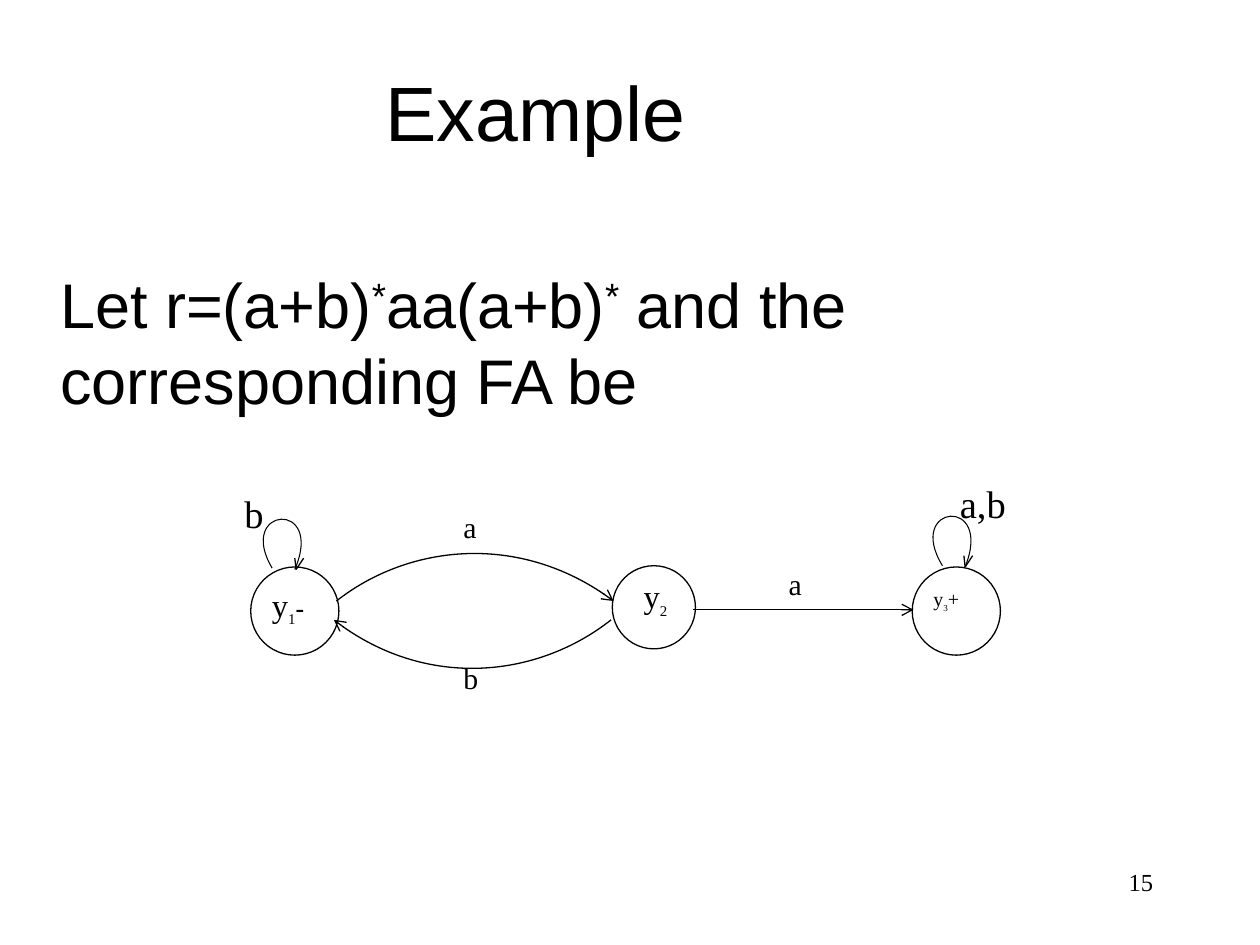
"""Build a slide showing the finite automaton for r=(a+b)*aa(a+b)*."""
from dataclasses import dataclass

from lxml.etree import SubElement
from pptx import Presentation
from pptx.dml.color import RGBColor
from pptx.enum.shapes import MSO_CONNECTOR, MSO_SHAPE
from pptx.enum.text import MSO_ANCHOR, PP_ALIGN
from pptx.oxml.ns import qn
from pptx.util import Inches, Pt


@dataclass(frozen=True)
class Theme:
    ink: RGBColor = RGBColor(0, 0, 0)
    paper: RGBColor = RGBColor(255, 255, 255)
    sans: str = "Arial"
    serif: str = "Times New Roman"
    title: float = 44
    body: float = 36
    number: float = 14
    loop: float = 22
    edge: float = 17
    state: float = 18.6
    state_sub: float = 14.7
    small: float = 11.4
    small_sub: float = 9
    line: float = 0.75
    loop_line: float = 0.6


theme = Theme()


def write(sp, box, runs, font, align=PP_ALIGN.LEFT, anchor=MSO_ANCHOR.TOP):
    sp.left, sp.top, sp.width, sp.height = (Inches(v) for v in box)
    tf = sp.text_frame
    tf.word_wrap = True
    tf.vertical_anchor = anchor
    p = tf.paragraphs[0]
    p.alignment = align
    for text, size, base in runs:
        r = p.add_run()
        r.text = text
        r.font.name = font
        r.font.size = Pt(size)
        r.font.color.rgb = theme.ink
        if base:
            r.font._element.set("baseline", str(base * 1000))
    return p


def stroke(sp, width, arrow=False):
    sp.line.color.rgb = theme.ink
    sp.line.width = Pt(width)
    if arrow:
        SubElement(sp.line._get_or_add_ln(), qn("a:tailEnd"), type="arrow")


prs = Presentation()
prs.slide_width, prs.slide_height = Inches(10), Inches(7.5)
s = prs.slides.add_slide(prs.slide_layouts[5])
s.background.fill.solid()
s.background.fill.fore_color.rgb = theme.paper

write(s.shapes.title, (0, 0.25, 8.5, 1.25), [("Example", theme.title, 0)],
      theme.sans, PP_ALIGN.CENTER, MSO_ANCHOR.MIDDLE)

statement = [
    ("Let r=(a+b)", theme.body, 0),
    ("*", theme.body, 30),
    ("aa(a+b)", theme.body, 0),
    ("*", theme.body, 30),
    (" and the corresponding FA be", theme.body, 0),
]
p = write(s.shapes.add_textbox(0, 0, 0, 0), (0, 2.06, 8.94, 4.56), statement, theme.sans)
p._p.get_or_add_pPr().set("marL", str(Inches(0.38)))

for x, y, size in [(1.99, 4.5, 0.7), (4.86, 4.49, 0.66), (7.24, 4.5, 0.7)]:
    sp = s.shapes.add_shape(MSO_SHAPE.OVAL, Inches(x), Inches(y), Inches(size), Inches(size))
    sp.shadow.inherit = False
    sp.fill.solid()
    sp.fill.fore_color.rgb = theme.paper
    stroke(sp, theme.line)

curves = [
    ([(2.16, 4.51), (1.87, 4.02), (2.58, 3.96), (2.34, 4.52)], theme.loop_line, False),
    ([(7.48, 4.49), (7.18, 4), (7.89, 3.93), (7.66, 4.5)], theme.loop_line, False),
    ([(2.67, 4.77), (3.23, 4.33), (4.14, 4.22), (4.87, 4.77)], theme.line, True),
    ([(4.85, 4.92), (4.28, 5.37), (3.37, 5.48), (2.65, 4.92)], theme.line, True),
]
for points, width, arrow in curves:
    start, *rest = [(Inches(x), Inches(y)) for x, y in points]
    builder = s.shapes.build_freeform(*start)
    builder.add_line_segments(rest, close=False)
    sp = builder.convert_to_shape()
    segments = list(sp._element.iter(qn("a:lnTo")))
    cubic = SubElement(segments[0].getparent(), qn("a:cubicBezTo"))
    for segment in segments:
        cubic.append(segment[0])
        segment.getparent().remove(segment)
    sp.shadow.inherit = False
    sp.fill.background()
    stroke(sp, width, arrow)

lines = [((5.5, 4.84), (7.25, 4.84), True)]
for x, y in [(2.35, 4.52), (7.66, 4.5)]:
    lines += [((x, y), (x + 0.06, y - 0.09), False), ((x, y), (x - 0.01, y - 0.09), False)]
for start, end, arrow in lines:
    line = s.shapes.add_connector(MSO_CONNECTOR.STRAIGHT, *(Inches(v) for v in start + end))
    stroke(line, theme.line, arrow)
    SubElement(line._element.spPr, qn("a:effectLst"))

labels = [
    ((1.84, 3.84, 0.98, 0.67), [("b", theme.loop, 0)]),
    ((7.52, 3.76, 0.98, 0.67), [("a,b", theme.loop, 0)]),
    ((3.58, 3.99, 0.41, 0.4), [("a", theme.edge, 0)]),
    ((6.16, 4.44, 0.41, 0.4), [("a", theme.edge, 0)]),
    ((3.58, 5.19, 0.41, 0.4), [("b", theme.edge, 0)]),
    ((2.06, 4.59, 0.8, 0.46),
     [("y", theme.state, 0), ("1", theme.state_sub, -30), ("-", theme.state_sub, 0)]),
    ((5.01, 4.52, 0.8, 0.45), [("y", theme.state, 0), ("2", theme.state_sub, -30)]),
    ((7.31, 4.61, 0.77, 0.34),
     [("y", theme.small, 0), ("3", theme.small_sub, -30), ("+", theme.small, 0)]),
]
for box, runs in labels:
    p = write(s.shapes.add_textbox(0, 0, 0, 0), box, runs, theme.serif)
    p.runs[-1].font.bold = p.runs[-1].text == "-"

write(s.shapes.add_textbox(0, 0, 0, 0), (7.17, 6.83, 2.08, 0.5),
      [("15", theme.number, 0)], theme.serif, PP_ALIGN.RIGHT)

prs.save("out.pptx")
